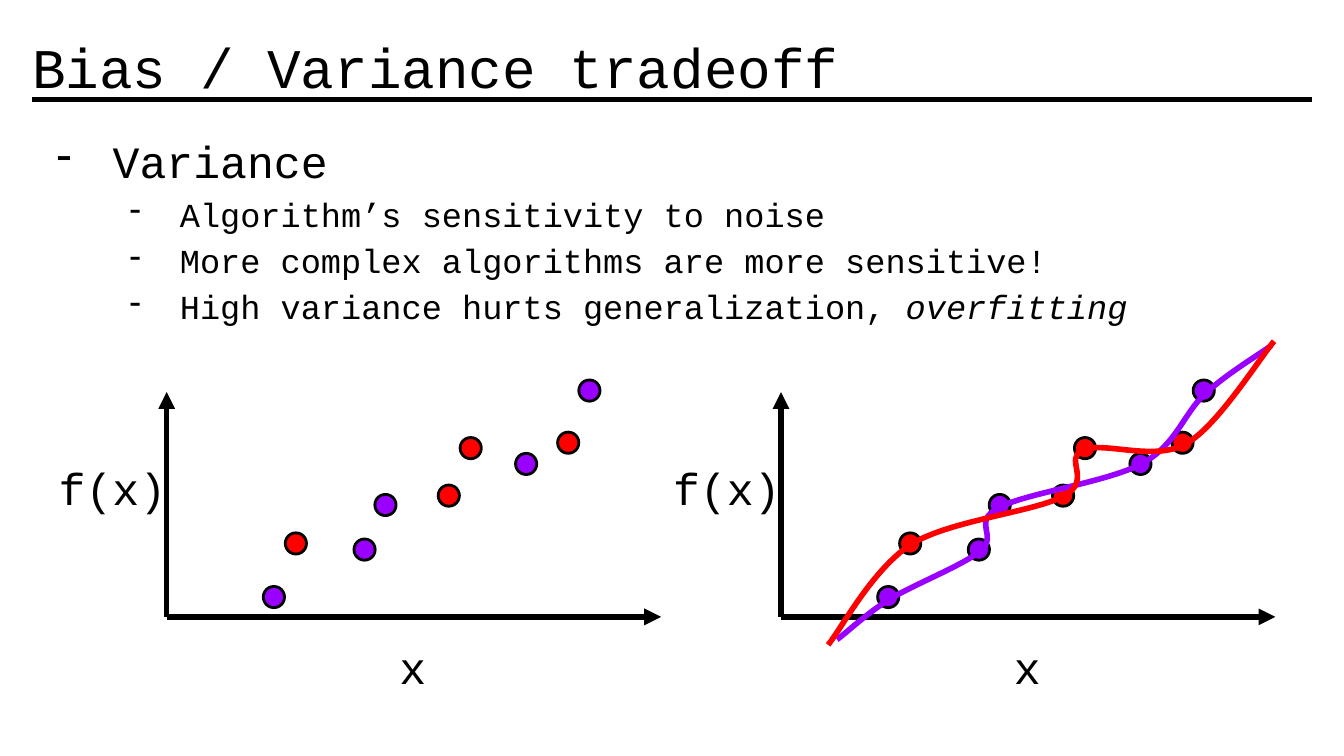
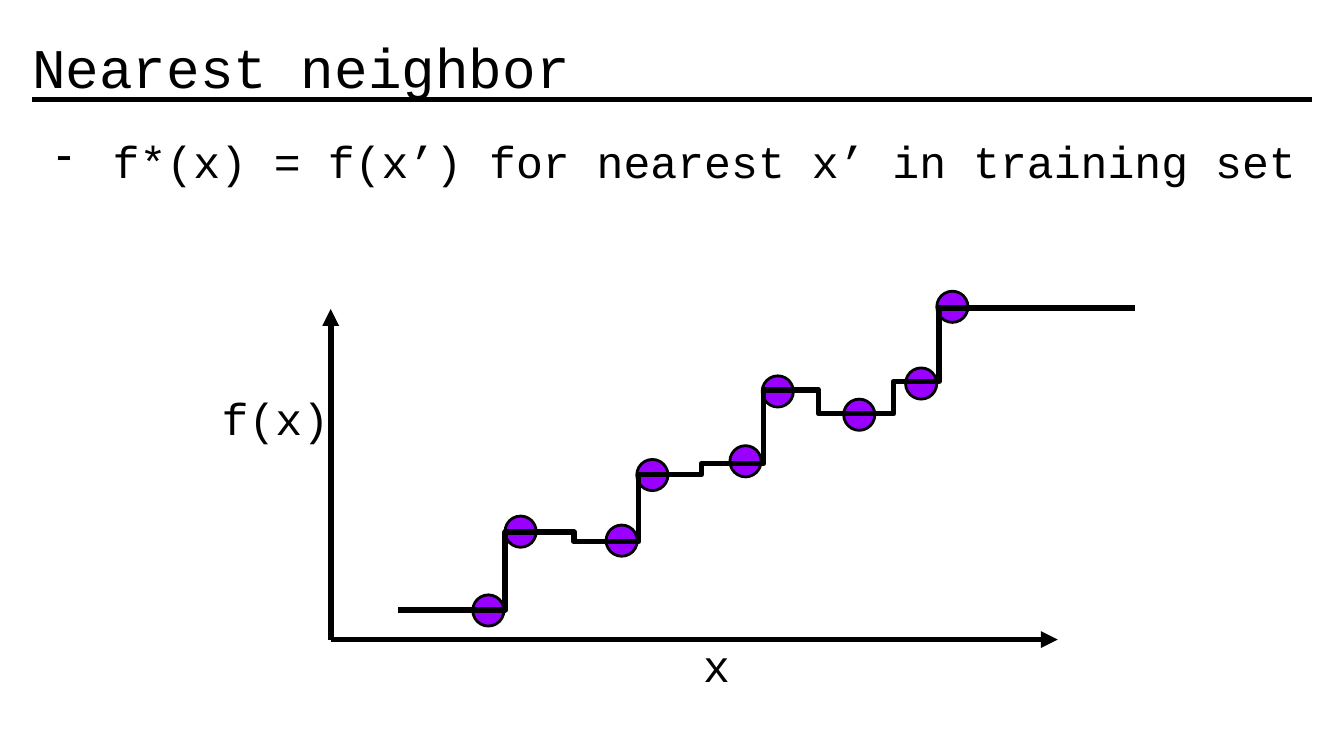
from dataclasses import dataclass
from typing import NamedTuple

from lxml import etree
from pptx import Presentation
from pptx import util as u
from pptx.dml.color import RGBColor
from pptx.enum import shapes, text
from pptx.oxml import ns


# Theme
@dataclass(frozen=True)
class Theme:
    ink: RGBColor = RGBColor(0x00, 0x00, 0x00)
    paper: RGBColor = RGBColor(0xFF, 0xFF, 0xFF)
    purple: RGBColor = RGBColor(0x99, 0x00, 0xFF)
    red: RGBColor = RGBColor(0xFF, 0x00, 0x00)
    font: str = "Courier New"
    title_size: int = 30
    main_size: int = 24
    detail_size: int = 18
    rule_width: float = 2.25
    plot_width: float = 3
    dot_width: float = 1.5


THEME = Theme()


# Parts of the slides; lengths in centimetres
class Point(NamedTuple):
    x: float
    y: float


class Box(NamedTuple):
    left: float
    top: float
    width: float
    height: float


class Bullet(NamedTuple):
    words: str
    level: int = 0
    emphasis: str = ""


class BulletStyle(NamedTuple):
    margin: float
    hanging: float
    size: int


@dataclass(frozen=True)
class Plot:
    """Label boxes are measured from the origin of the axes."""
    origin: Point
    scale: float
    y_label: Box
    x_label: Box
    dot_colors: list[RGBColor]


PAGE = Point(25.4, 14.29)
TITLE = Box(0.36, 0.53, 24.69, 1.6)
BODY = Box(0.61, 2.13, 24.17, 11.81)
RULE = (Point(0.61, 1.88), Point(24.79, 1.88))
INSET = 0.25
BULLET_STYLES = [
    BulletStyle(1.27, 1.06, THEME.main_size),
    BulletStyle(2.54, 0.95, THEME.detail_size),
]

# Training points: distance right of and above the origin at full scale
TRAINING_POINTS = [
    Point(2.98, 0.55), Point(3.59, 2.04), Point(5.5, 1.87),
    Point(6.08, 3.11), Point(7.84, 3.37), Point(8.45, 4.69),
    Point(9.99, 4.25), Point(11.16, 4.84), Point(11.75, 6.29),
]
X_AXIS, Y_AXIS, DOT = 13.74, 6.25, 0.59

P, R = THEME.purple, THEME.red
SMALL_PLOTS = [
    Plot(Point(x, 11.66), 0.68, Box(-2.29, -3.2, 4.11, 1.45),
         Box(1.63, 0.18, 6.05, 1.45), [P, R, P, P, R, R, P, R, P])
    for x in (3.15, 14.76)
]
NEIGHBOR_PLOT = Plot(Point(6.25, 12.09), 1, Box(-2.31, -4.95, 6.12, 2.13),
                     Box(0.41, -0.28, 13.77, 2.13), [P] * len(TRAINING_POINTS))

# Fitted curves: a start, then two control points and an end per segment
PURPLE_FIT = [
    Point(15.82, 12.09),
    Point(16, 11.96), Point(16.36, 11.61), Point(16.81, 11.33),
    Point(17.27, 11.05), Point(18.19, 10.69), Point(18.54, 10.41),
    Point(18.87, 10.11), Point(18.36, 9.88), Point(18.87, 9.6),
    Point(19.38, 9.32), Point(20.93, 9.12), Point(21.59, 8.76),
    Point(22.23, 8.41), Point(22.38, 7.8), Point(22.78, 7.44),
    Point(23.19, 7.06), Point(23.83, 6.68), Point(24.03, 6.53),
]
RED_FIT = [
    Point(15.65, 12.19),
    Point(15.9, 11.89), Point(16.48, 10.77), Point(17.22, 10.29),
    Point(17.96, 9.83), Point(19.56, 9.68), Point(20.12, 9.37),
    Point(20.65, 9.07), Point(20.09, 8.66), Point(20.47, 8.51),
    Point(20.85, 8.33), Point(21.82, 8.74), Point(22.43, 8.38),
    Point(23.01, 8.05), Point(23.8, 6.78), Point(24.08, 6.45),
]

# Nearest neighbor prediction: each level holds between two edges
STEP_EDGES = [7.52, 9.55, 10.85, 12.07, 13.26, 14.43, 15.47, 16.89, 17.75, 21.46]
STEP_LEVELS = [11.53, 10.06, 10.24, 8.97, 8.76, 7.37, 7.82, 7.21, 5.82]


# Drawing helpers
def emu(place: tuple) -> list[int]:
    return [u.Cm(length) for length in place]


def add_element(parent, tag: str, **attributes: str):
    element = etree.SubElement(parent, ns.qn(tag))
    for key, value in attributes.items():
        element.set(key, value)
    return element


def write(paragraph, words: str, *, size: int = THEME.main_size,
          italic: bool = False, align=text.PP_ALIGN.LEFT) -> None:
    paragraph.alignment = align
    run = paragraph.add_run()
    run.text = words
    run.font.name = THEME.font
    run.font.size = u.Pt(size)
    run.font.italic = italic
    run.font.color.rgb = THEME.ink


def add_text_box(slide, box: Box, anchor=text.MSO_ANCHOR.TOP):
    text_box = slide.shapes.add_textbox(*emu(box))
    frame = text_box.text_frame
    frame.word_wrap = True
    frame.vertical_anchor = anchor
    frame.margin_left = frame.margin_right = u.Cm(INSET)
    frame.margin_top = frame.margin_bottom = u.Cm(INSET)
    return text_box


def add_line(slide, start: Point, end: Point, width: float,
             arrow: bool = False) -> None:
    line = slide.shapes.add_connector(
        shapes.MSO_CONNECTOR.STRAIGHT, *emu(start), *emu(end))
    line.line.color.rgb = THEME.ink
    line.line.width = u.Pt(width)
    properties = line._element.spPr
    if arrow:
        add_element(properties.find(ns.qn("a:ln")), "a:tailEnd", type="triangle")
    add_element(properties, "a:effectLst")


def add_path(slide, points: list[Point], color: RGBColor):
    builder = slide.shapes.build_freeform(*emu(points[0]), scale=1.0)
    builder.add_line_segments([emu(point) for point in points[1:]], close=False)
    outline = builder.convert_to_shape()
    outline.shadow.inherit = False
    outline.fill.background()
    outline.line.color.rgb = color
    outline.line.width = u.Pt(THEME.plot_width)
    return outline


def add_curve(slide, points: list[Point], color: RGBColor) -> None:
    curve = add_path(slide, points[::3], color)
    segments = list(curve._element.iter(ns.qn("a:lnTo")))
    for index, segment in enumerate(segments):
        bezier = etree.Element(ns.qn("a:cubicBezTo"))
        for point in points[3 * index + 1:3 * index + 4]:
            x, y = emu(point)
            add_element(bezier, "a:pt", x=str(x - curve.left), y=str(y - curve.top))
        segment.getparent().replace(segment, bezier)


# Slide parts
def add_bullets(slide, bullets: list[Bullet]) -> None:
    body = add_text_box(slide, BODY)
    body.fill.solid()
    body.fill.fore_color.rgb = THEME.paper
    fill_color = body._element.spPr.find(".//" + ns.qn("a:srgbClr"))
    add_element(fill_color, "a:alpha", val="60000")
    frame = body.text_frame
    for index, bullet in enumerate(bullets):
        paragraph = frame.add_paragraph() if index else frame.paragraphs[0]
        style = BULLET_STYLES[bullet.level]
        paragraph.level = bullet.level
        paragraph.line_spacing = 1.15
        properties = paragraph._p.get_or_add_pPr()
        properties.set("marL", str(u.Cm(style.margin)))
        properties.set("indent", str(-u.Cm(style.hanging)))
        bullet_color = add_element(properties, "a:buClr")
        add_element(bullet_color, "a:srgbClr", val=str(THEME.ink))
        add_element(properties, "a:buChar", char="-")
        write(paragraph, bullet.words, size=style.size)
        if bullet.emphasis:
            write(paragraph, bullet.emphasis, size=style.size, italic=True)


def add_content_slide(deck, title: str, bullets: list[Bullet]):
    slide = deck.slides.add_slide(deck.slide_layouts[6])
    add_line(slide, *RULE, THEME.rule_width)
    heading = add_text_box(slide, TITLE, text.MSO_ANCHOR.BOTTOM)
    write(heading.text_frame.paragraphs[0], title, size=THEME.title_size)
    add_bullets(slide, bullets)
    return slide


def add_plot(slide, plot: Plot) -> None:
    origin, scale = plot.origin, plot.scale

    def locate(point: Point) -> Point:
        return Point(origin.x + scale * point.x, origin.y - scale * point.y)

    def add_label(words: str, box: Box, align) -> None:
        place = Box(origin.x + box.left, origin.y + box.top, box.width, box.height)
        label = add_text_box(slide, place)
        write(label.text_frame.paragraphs[0], words, align=align)

    add_label("f(x)", plot.y_label, text.PP_ALIGN.LEFT)
    size = DOT * scale
    for point, color in zip(TRAINING_POINTS, plot.dot_colors):
        center = locate(point)
        place = Box(center.x - size / 2, center.y - size / 2, size, size)
        dot = slide.shapes.add_shape(shapes.MSO_SHAPE.OVAL, *emu(place))
        dot.shadow.inherit = False
        dot.fill.solid()
        dot.fill.fore_color.rgb = color
        dot.line.color.rgb = THEME.ink
        dot.line.width = u.Pt(THEME.dot_width)
    for tip in (Point(0, Y_AXIS), Point(X_AXIS, 0)):
        add_line(slide, origin, locate(tip), THEME.plot_width, arrow=True)
    add_label("x", plot.x_label, text.PP_ALIGN.CENTER)


# Slides
def add_variance_slide(deck) -> None:
    slide = add_content_slide(deck, "Bias / Variance tradeoff", [
        Bullet("Variance"),
        Bullet("Algorithm’s sensitivity to noise", 1),
        Bullet("More complex algorithms are more sensitive!", 1),
        Bullet("High variance hurts generalization, ", 1, "overfitting"),
    ])
    samples, fits = SMALL_PLOTS
    add_plot(slide, fits)
    add_curve(slide, PURPLE_FIT, THEME.purple)
    add_curve(slide, RED_FIT, THEME.red)
    add_plot(slide, samples)


def add_neighbor_slide(deck) -> None:
    slide = add_content_slide(deck, "Nearest neighbor", [
        Bullet("f*(x) = f(x’) for nearest x’ in training set"),
    ])
    add_plot(slide, NEIGHBOR_PLOT)
    steps = [Point(edge, level)
             for start, end, level in zip(STEP_EDGES, STEP_EDGES[1:], STEP_LEVELS)
             for edge in (start, end)]
    add_path(slide, steps, THEME.ink)


def main() -> None:
    deck = Presentation()
    deck.slide_width, deck.slide_height = emu(PAGE)
    add_variance_slide(deck)
    add_neighbor_slide(deck)
    deck.save("out.pptx")


if __name__ == "__main__":
    main()
